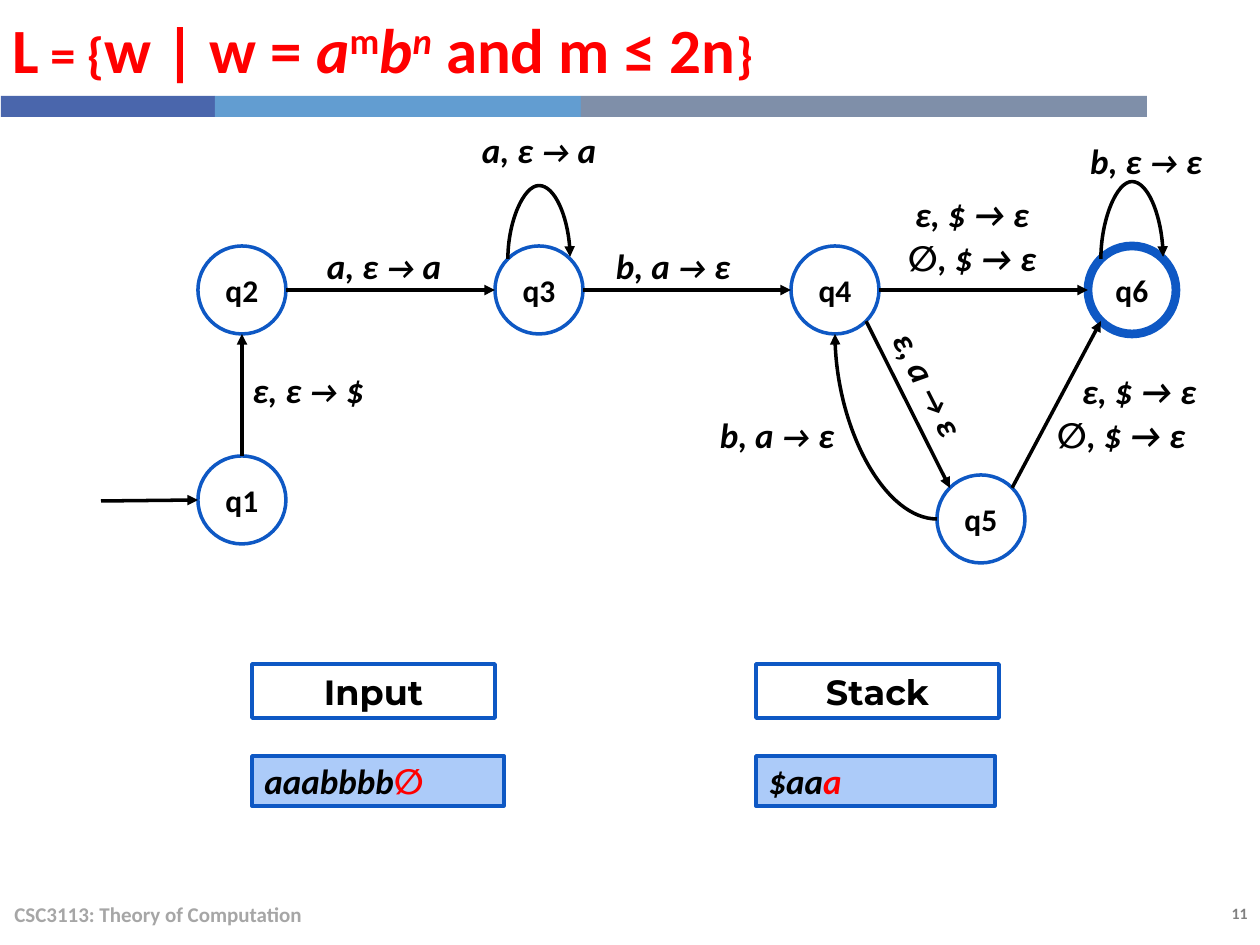
from math import cos, radians, sin

from lxml.etree import SubElement
from pptx import Presentation
from pptx.dml.color import RGBColor
from pptx.enum.shapes import MSO_CONNECTOR, MSO_SHAPE
from pptx.enum.text import MSO_ANCHOR, PP_ALIGN
from pptx.oxml.ns import qn
from pptx.util import Pt

SCALE = 914400 / 126  # EMU in one px

BLACK = RGBColor(0x00, 0x00, 0x00)
WHITE = RGBColor(0xFF, 0xFF, 0xFF)
RED = RGBColor(0xFF, 0x00, 0x00)
BLUE = RGBColor(0x0E, 0x58, 0xC4)
PALE_BLUE = RGBColor(0xAC, 0xCB, 0xF9)
FOOTER_GREY = RGBColor(0xA6, 0xA6, 0xA6)
NUMBER_GREY = RGBColor(0x80, 0x80, 0x80)
BAND_COLOURS = [RGBColor(0x4A, 0x66, 0xAC), RGBColor(0x62, 0x9D, 0xD1),
                RGBColor(0x7F, 0x8F, 0xA9)]
BAND_EDGES = [1, 215, 581, 1147]

RADIUS = 44
STATES = {"q1": (242, 500), "q2": (242, 290), "q3": (539, 290),
          "q4": (835, 290), "q5": (981, 519), "q6": (1132, 290)}
# From state, angle where it leaves, to state, angle where it arrives
LINKS = [("q1", 270, "q2", 90), ("q2", 0, "q3", 180), ("q3", 0, "q4", 180),
         ("q4", 0, "q6", 180), ("q4", 45, "q5", 225), ("q5", 315, "q6", 135)]
# Text, left, top, size of the arrow sign, rotation
LABELS = [("a, ε → a", 294, 236, 18, 0), ("b, a → ε", 583, 236, 18, 0),
          ("a, ε → a", 449, 119, 18, 0), ("b, ε → ε", 1056, 130, 18, 0),
          ("ε, ε → $", 218, 359, 18, 0), ("ε, a → ε", 839, 354, 18, 63.2),
          ("b, a → ε", 687, 405, 18, 0), ("ε, $ → ε", 882, 184, 20, 0),
          ("∅, $ → ε", 882, 228, 20, 0), ("ε, $ → ε", 1049, 361, 20, 0),
          ("∅, $ → ε", 1031, 405, 20, 0)]


def emu(*lengths):
    return [round(length * SCALE) for length in lengths]


def write(shape, spans, size, colour=BLACK, align=PP_ALIGN.LEFT,
          anchor=MSO_ANCHOR.MIDDLE, font="Calibri", italic=None):
    """Fill a shape with one paragraph; spans are (text, changes) pairs."""
    frame = shape.text_frame
    frame.word_wrap = True
    frame.vertical_anchor = anchor
    para = frame.paragraphs[0]
    para.alignment = align
    para.font.name = font
    para.font.size = Pt(size)
    para.font.bold = True
    para.font.italic = italic
    para.font.color.rgb = colour
    for text, changes in spans:
        span = para.add_run()
        span.text = text
        if "size" in changes:
            span.font.size = Pt(changes["size"])
        if "colour" in changes:
            span.font.color.rgb = changes["colour"]
        if "italic" in changes:
            span.font.italic = changes["italic"]
        for name in ("cap", "baseline"):
            if name in changes:
                span.font._element.set(name, changes[name])


def add_text(page, box, spans, size, **style):
    shape = page.shapes.add_textbox(*emu(*box))
    write(shape, spans, size, **style)
    return shape


def add_box(page, kind, box, fill, line_width=0):
    shape = page.shapes.add_shape(kind, *emu(*box))
    shape.shadow.inherit = False
    shape.fill.solid()
    shape.fill.fore_color.rgb = fill
    if line_width:
        shape.line.color.rgb = BLUE
        shape.line.width = Pt(line_width)
    else:
        shape.line.fill.background()
    return shape


def add_state(page, name, line_width):
    x, y = STATES[name]
    box = (x - RADIUS, y - RADIUS, 2 * RADIUS, 2 * RADIUS)
    shape = add_box(page, MSO_SHAPE.OVAL, box, WHITE, line_width)
    frame = shape.text_frame
    frame.margin_left = frame.margin_right = 0
    write(shape, [(name, {})], 18, align=PP_ALIGN.CENTER)


def rim(name, angle):
    """Point on a state's circle, clockwise from the right."""
    x, y = STATES[name]
    return (x + RADIUS * cos(radians(angle)), y + RADIUS * sin(radians(angle)))


def add_arrow(page, start, end, kind=MSO_CONNECTOR.STRAIGHT, tip="tailEnd"):
    arrow = page.shapes.add_connector(kind, *emu(*start, *end))
    arrow.line.color.rgb = BLACK
    arrow.line.width = Pt(2)
    SubElement(arrow.line._get_or_add_ln(), qn("a:" + tip), type="triangle")
    SubElement(arrow._element.spPr, qn("a:effectLst"))
    return arrow


def add_curve(page, centre, width, height, preset, turn, flips, tip, bend=None):
    """Curved arrow; width and height are those before the turn."""
    x, y = centre
    start = (x - width / 2, y - height / 2)
    end = (x + width / 2, y + height / 2)
    arrow = add_arrow(page, start, end, MSO_CONNECTOR.CURVE, tip)
    properties = arrow._element.spPr
    frame = properties.find(qn("a:xfrm"))
    frame.set("rot", str(turn * 60000))
    for flip in flips:
        frame.set(flip, "1")
    shape = properties.find(qn("a:prstGeom"))
    shape.set("prst", preset)
    if bend:
        values = shape.find(qn("a:avLst"))
        SubElement(values, qn("a:gd"), name="adj1", fmla=f"val {round(bend * 100000)}")


def add_loop(page, name, peak):
    """Arrow from a state back to itself, rising to the given height."""
    left, top = rim(name, 225)
    right, _ = rim(name, 315)
    drop = 2
    add_curve(page, ((left + right) / 2, top - drop / 2), drop, right - left,
              "curvedConnector3", 90, ("flipH", "flipV"), "tailEnd",
              bend=(top - peak) / drop)


def add_label(page, text, left, top, arrow_size, rotation):
    before, sign, after = text.partition("→")
    spans = [(before, {}), (sign, {"size": arrow_size}), (after, {})]
    shape = add_text(page, (left, top, 180, 60), spans, 20,
                     align=PP_ALIGN.CENTER, italic=True)
    shape.rotation = rotation


def add_store(page, left, heading, width, spans):
    """Heading box with its content box below."""
    head = add_box(page, MSO_SHAPE.RECTANGLE, (left, 664, 243, 54), WHITE, 2)
    write(head, [(heading, {})], 20, align=PP_ALIGN.CENTER, font="Montserrat")
    content = add_box(page, MSO_SHAPE.RECTANGLE, (left, 756, width, 50), PALE_BLUE, 2)
    write(content, spans, 20, italic=True)


def main():
    deck = Presentation()
    deck.slide_width, deck.slide_height = emu(1260, 945)
    page = deck.slides.add_slide(deck.slide_layouts[6])

    # Header bands, footer and title
    for left, right, colour in zip(BAND_EDGES, BAND_EDGES[1:], BAND_COLOURS):
        add_box(page, MSO_SHAPE.RECTANGLE, (left, 96, right - left, 21), colour)
    add_text(page, (1100, 898, 160, 32), [("11", {})], 9, colour=NUMBER_GREY,
             align=PP_ALIGN.RIGHT, anchor=MSO_ANCHOR.TOP)
    add_text(page, (2, 889, 844, 50), [("CSC3113: Theory of Computation", {})],
             12, colour=FOOTER_GREY)
    title = [("L = {", {"cap": "small"}), ("w | w = ", {}),
             ("a", {"italic": True}), ("m", {"baseline": "30000"}),
             ("b", {"italic": True}), ("n", {"italic": True, "baseline": "30000"}),
             (" and m ≤ 2n", {}), ("}", {"cap": "small"})]
    add_text(page, (0, 0, 1147, 96), title, 36, colour=RED)

    # States, the accepting one with a thick rim
    for name in STATES:
        add_state(page, name, 5 if name == "q6" else 2)

    # Transitions
    add_arrow(page, (101, 501), rim("q1", 180))
    for source, leave, target, arrive in LINKS:
        add_arrow(page, rim(source, leave), rim(target, arrive))
    (x1, y1), (x2, y2) = rim("q4", 90), rim("q5", 180)
    add_curve(page, ((x1 + x2) / 2, (y1 + y2) / 2), y2 - y1, x2 - x1,
              "curvedConnector2", 270, ("flipH",), "headEnd")
    add_loop(page, "q3", 185)
    add_loop(page, "q6", 181)
    for label in LABELS:
        add_label(page, *label)

    # Input and stack
    add_store(page, 252, "Input", 252, [("aaabbbb", {}), ("∅", {"colour": RED})])
    add_store(page, 756, "Stack", 239, [("$aa", {}), ("a", {"colour": RED})])

    deck.save("out.pptx")


if __name__ == "__main__":
    main()
